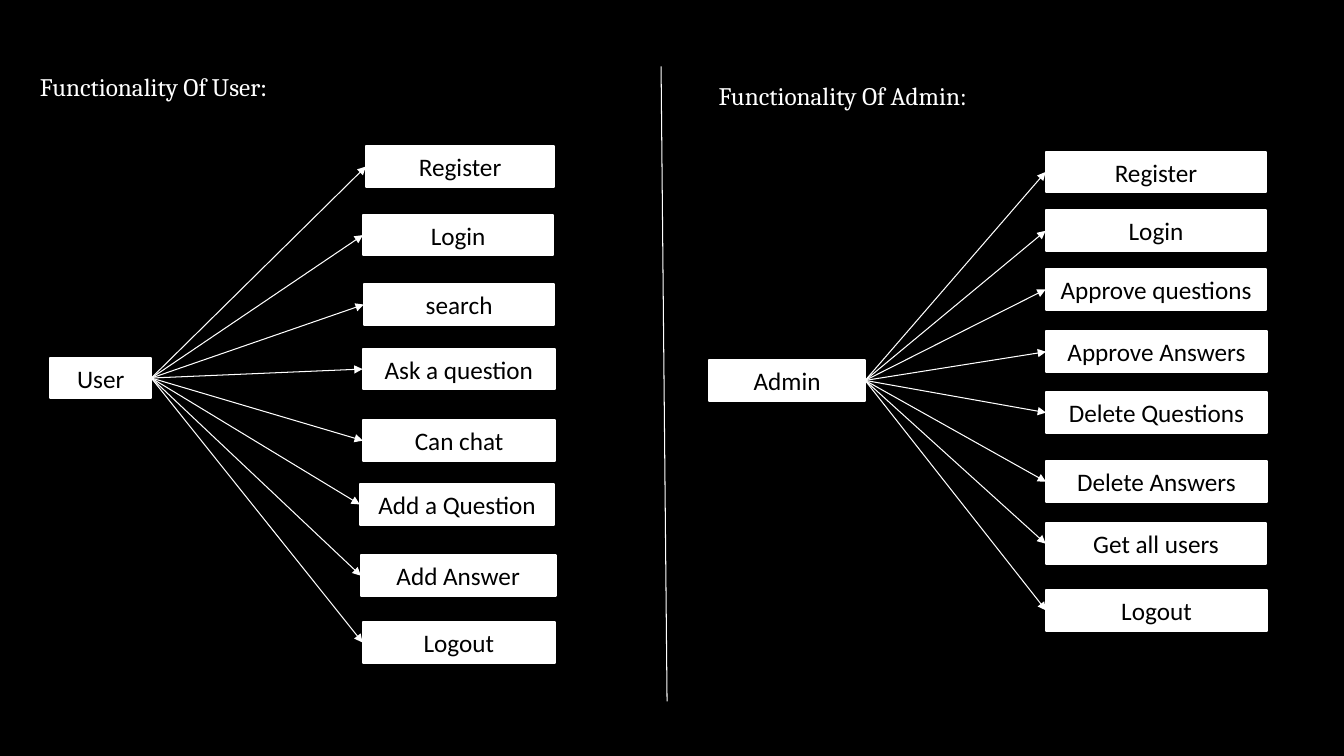
from lxml import etree
from pptx import Presentation
from pptx.dml.color import RGBColor
from pptx.enum.shapes import MSO_CONNECTOR, MSO_SHAPE
from pptx.enum.text import MSO_ANCHOR, MSO_AUTO_SIZE, PP_ALIGN
from pptx.oxml.ns import qn
from pptx.util import Pt

STRAIGHT = MSO_CONNECTOR.STRAIGHT
RECTANGLE = MSO_SHAPE.RECTANGLE
MIDDLE = MSO_ANCHOR.MIDDLE
FIT_SHAPE = MSO_AUTO_SIZE.SHAPE_TO_FIT_TEXT
CENTER = PP_ALIGN.CENTER

BLACK = RGBColor(0x00, 0x00, 0x00)
WHITE = RGBColor(0xFF, 0xFF, 0xFF)

LEFT_SITE, RIGHT_SITE = 1, 3
BOX_HEIGHT = 29.08

USER_FUNCTIONS = [
    ("Register", 261.4, 104.4, 134.6),
    ("Login", 259.2, 153.4, 136.1),
    ("search", 259.9, 203, 136.1),
    ("Ask a question", 259, 249.1, 137.5),
    ("Can chat", 259.2, 300.2, 137.5),
    ("Add a Question", 257, 345.8, 139),
    ("Add Answer", 257.8, 396.7, 139),
    ("Logout", 259, 444.4, 137.5),
]
ADMIN_FUNCTIONS = [
    ("Register", 746.9, 108.3, 157.7),
    ("Login", 746.9, 150.3, 157.7),
    ("Approve questions", 746.9, 192.2, 157.7),
    ("Approve Answers", 747.2, 236.7, 157.7),
    ("Delete Questions", 747.2, 280.2, 157.7),
    ("Delete Answers", 747.2, 329.6, 157.7),
    ("Get all users", 746.9, 373.8, 157.7),
    ("Logout", 747.2, 421.5, 157.7),
]


class FunctionalityMap:
    heading_font = "Cambria"
    body_font = "Calibri"
    font_size = Pt(18)

    def __init__(self, slide):
        self.slide = slide
        fill = slide.background.fill
        fill.solid()
        fill.fore_color.rgb = BLACK

    def heading(self, runs, left, top, width, wrap):
        shape = self.slide.shapes.add_textbox(Pt(left), Pt(top), Pt(width), Pt(BOX_HEIGHT))
        frame = shape.text_frame
        frame.word_wrap = wrap
        frame.auto_size = FIT_SHAPE
        paragraph = frame.paragraphs[0]
        paragraph.font.size = self.font_size
        paragraph.font.color.rgb = WHITE
        for text, font_name in runs:
            run = paragraph.add_run()
            run.text = text
            run.font.name = font_name
            run.font.size = self.font_size
            run.font.color.rgb = WHITE

    def box(self, text, left, top, width):
        shape = self.slide.shapes.add_shape(
            RECTANGLE, Pt(left), Pt(top), Pt(width), Pt(BOX_HEIGHT))
        shape.shadow.inherit = False
        shape.fill.solid()
        shape.fill.fore_color.rgb = WHITE
        shape.line.color.rgb = WHITE
        shape.line.width = Pt(1.5)
        frame = shape.text_frame
        frame.word_wrap = True
        frame.vertical_anchor = MIDDLE
        paragraph = frame.paragraphs[0]
        paragraph.text = text
        paragraph.alignment = CENTER
        paragraph.font.name = self.body_font
        paragraph.font.size = self.font_size
        paragraph.font.color.rgb = BLACK
        return shape

    def line(self, start_x, start_y, end_x, end_y):
        connector = self.slide.shapes.add_connector(
            STRAIGHT, Pt(start_x), Pt(start_y), Pt(end_x), Pt(end_y))
        connector.line.color.rgb = WHITE
        connector.line.width = Pt(0.75)
        etree.SubElement(connector._element.spPr, qn("a:effectLst"))
        return connector

    def arrow(self, source, target):
        connector = self.line(0, 0, 0, 0)
        connector.begin_connect(source, RIGHT_SITE)
        connector.end_connect(target, LEFT_SITE)
        outline = connector.line._get_or_add_ln()
        etree.SubElement(outline, qn("a:tailEnd"), type="triangle")

    def fan(self, role, functions):
        role_box = self.box(*role)
        for function in functions:
            self.arrow(role_box, self.box(*function))


def main():
    presentation = Presentation()
    presentation.slide_width = Pt(960)
    presentation.slide_height = Pt(540)
    slide = presentation.slides.add_slide(presentation.slide_layouts[6])

    page = FunctionalityMap(slide)
    page.line(472.2, 47.4, 476.5, 501)
    page.heading(
        [("Functionality Of User", page.heading_font), (":", page.body_font)],
        21.4, 47.7, 183.6, False)
    page.fan(("User", 35.8, 255.5, 72.3), USER_FUNCTIONS)
    page.heading(
        [("Functionality Of Admin:", page.heading_font)],
        506.2, 53.5, 254.9, True)
    page.fan(("Admin", 506.4, 257.2, 111.6), ADMIN_FUNCTIONS)

    presentation.save("out.pptx")


if __name__ == "__main__":
    main()
